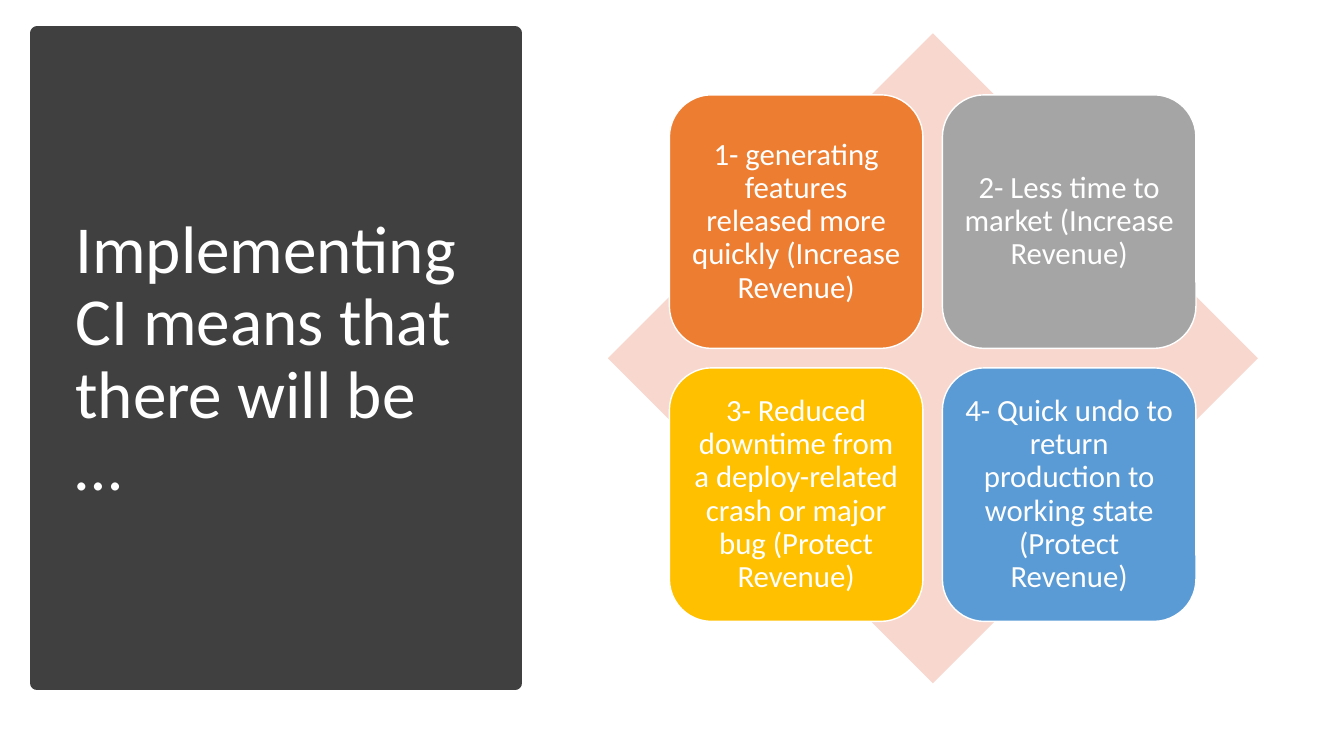
from pptx import Presentation
from pptx.dml.color import RGBColor
from pptx.enum.shapes import MSO_SHAPE
from pptx.enum.text import MSO_ANCHOR, PP_ALIGN
from pptx.util import Cm, Pt

RECTANGLE = MSO_SHAPE.RECTANGLE
DIAMOND = MSO_SHAPE.DIAMOND
ROUNDED = MSO_SHAPE.ROUNDED_RECTANGLE
MIDDLE = MSO_ANCHOR.MIDDLE
LEFT = PP_ALIGN.LEFT
CENTER = PP_ALIGN.CENTER

WHITE = "FFFFFF"
CHARCOAL = "404040"
BLUSH = "F8D7CE"

TITLE = "Implementing CI means that\vthere will be …"
BENEFITS = [
    ("1- generating features released more quickly (Increase Revenue)", "ED7D31"),
    ("2- Less time to market (Increase Revenue)", "A5A5A5"),
    ("3- Reduced downtime from a deploy-related crash or major bug (Protect Revenue)", "FFC000"),
    ("4- Quick undo to return production to working state (Protect Revenue)", "5B9BD5"),
]
GRID_LEFT, GRID_TOP = 16.87, 2.39
CARD_SIDE, CARD_PITCH = 6.39, 6.88
CARD_INSET = Cm(0.23)
CARD_FRAME = {
    "margin_left": CARD_INSET,
    "margin_top": CARD_INSET,
    "margin_right": CARD_INSET,
    "margin_bottom": CARD_INSET,
}


def color(hex_value):
    """Return the colour for a hex string."""
    return RGBColor.from_string(hex_value)


def apply_format(target, values):
    """Set each attribute of the target from a dict."""
    for name, value in values.items():
        setattr(target, name, value)


def write_text(holder, text, size, align, frame_format):
    """Write one white Calibri paragraph, centred vertically."""
    frame = holder.text_frame
    apply_format(frame, {"word_wrap": True, "vertical_anchor": MIDDLE, **frame_format})
    paragraph = frame.paragraphs[0]
    paragraph.text = text
    apply_format(paragraph, {"alignment": align, "line_spacing": 0.9})
    for run in paragraph.runs:
        apply_format(run.font, {"name": "Calibri", "size": Pt(size)})
        run.font.color.rgb = color(WHITE)


def add_block(slide, kind, box, fill, outline=None, width=1):
    """Add a filled preset shape at a box given in centimetres."""
    block = slide.shapes.add_shape(kind, *map(Cm, box))
    block.shadow.inherit = False
    block.fill.solid()
    block.fill.fore_color.rgb = color(fill)
    if outline:
        block.line.color.rgb = color(outline)
        block.line.width = Pt(width)
    else:
        block.line.fill.background()
    return block


def add_title(slide):
    """Add the dark panel and the title over it."""
    add_block(slide, RECTANGLE, (0.94, 0.84, 12.04, 16.38), CHARCOAL, CHARCOAL, 10)
    title = slide.shapes.add_textbox(Cm(1.65), Cm(1.78), Cm(10.57), Cm(14.6))
    write_text(title, TITLE, 48, LEFT, {})


def add_benefits(slide):
    """Add the diamond and the two by two grid of benefit cards."""
    add_block(slide, DIAMOND, (15.32, 0.84, 16.38, 16.38), BLUSH)
    for index, (benefit, fill) in enumerate(BENEFITS):
        row, column = divmod(index, 2)
        left = GRID_LEFT + column * CARD_PITCH
        top = GRID_TOP + row * CARD_PITCH
        card = add_block(slide, ROUNDED, (left, top, CARD_SIDE, CARD_SIDE), fill, WHITE)
        write_text(card, benefit, 22, CENTER, CARD_FRAME)


def main():
    """Build the slide and save it."""
    deck = Presentation()
    apply_format(deck, {"slide_width": Cm(33.87), "slide_height": Cm(19.05)})
    slide = deck.slides.add_slide(deck.slide_layouts[6])
    add_title(slide)
    add_benefits(slide)
    deck.save("out.pptx")


if __name__ == "__main__":
    main()
